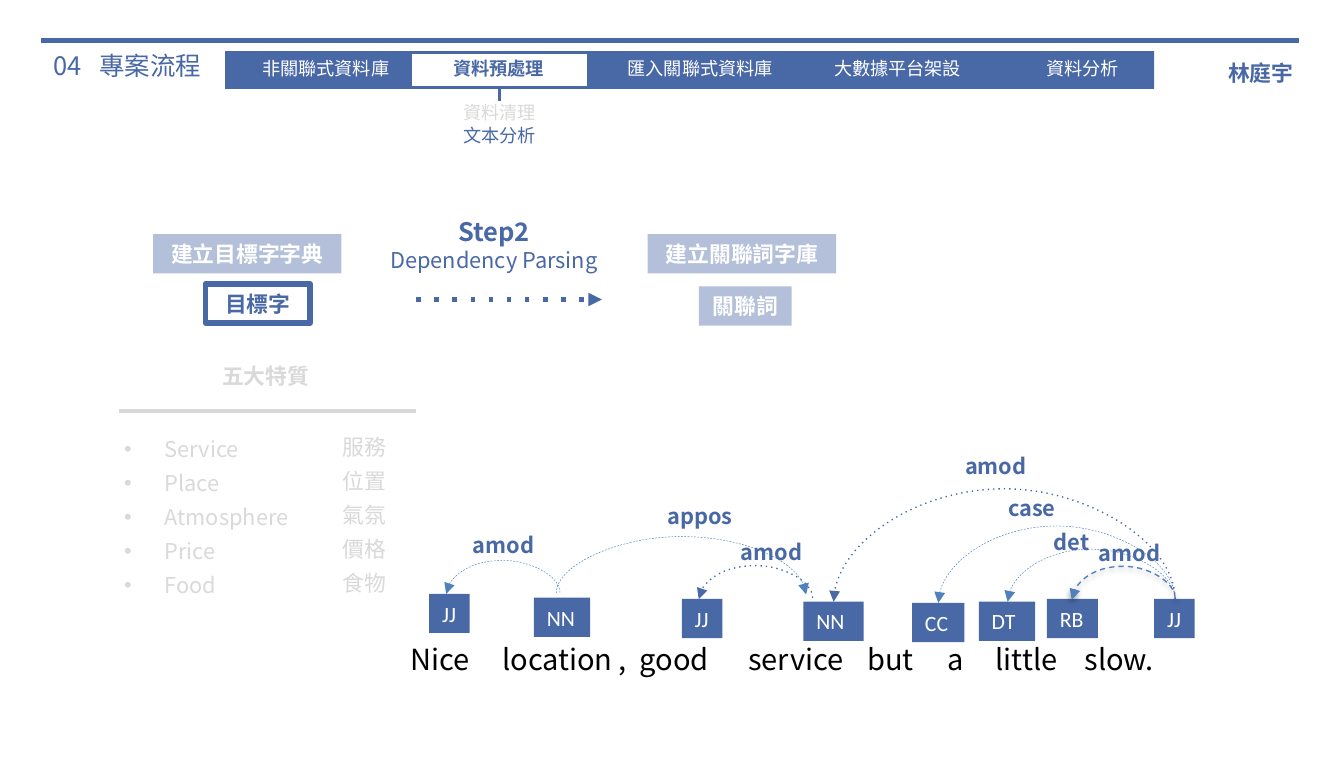
from lxml import etree
from pptx import Presentation
from pptx.dml.color import RGBColor
from pptx.enum.shapes import MSO_CONNECTOR as CONNECTOR, MSO_SHAPE as SHAPE
from pptx.enum.text import MSO_ANCHOR as ANCHOR, PP_ALIGN as ALIGN
from pptx.oxml.ns import qn
from pptx.util import Pt

PX = 9144  # 100 px to the inch
BLUE = RGBColor(0x49, 0x68, 0xA6)
ARC_BLUE = RGBColor(0x4F, 0x81, 0xBD)
GREY = RGBColor(0xD9, 0xD9, 0xD9)
WHITE = RGBColor(0xFF, 0xFF, 0xFF)
BLACK = RGBColor(0, 0, 0)
NOTO = "Noto Sans CJK SC"

presentation = Presentation()
presentation.slide_width = 1027 * PX
presentation.slide_height = 591 * PX
slide = presentation.slides.add_slide(presentation.slide_layouts[6])


def add_text(text, box, size=12, color=BLUE, bold=False, align=ALIGN.CENTER, font=NOTO,
             spacing=None, wrap=True, fill=None, opacity=100, border=None, tabs=(), bullet=None):
    """Write one paragraph per line of text, in a rectangle if fill or border is given."""
    bounds = [value * PX for value in box]
    if fill is None and border is None:
        shape = slide.shapes.add_textbox(*bounds)
    else:
        shape = slide.shapes.add_shape(SHAPE.RECTANGLE, *bounds)
        shape.shadow.inherit = False
        shape.fill.background()
        shape.line.fill.background()
    if fill is not None:
        shape.fill.solid()
        shape.fill.fore_color.rgb = fill
        if opacity < 100:
            rgb = shape.fill._xPr.find(".//" + qn("a:srgbClr"))
            etree.SubElement(rgb, qn("a:alpha"), val=str(opacity * 1000))
    if border is not None:
        shape.line.color.rgb = BLUE
        shape.line.width = Pt(border)
    frame = shape.text_frame
    frame.word_wrap = wrap
    frame.vertical_anchor = ANCHOR.MIDDLE
    for index, line in enumerate(text.split("\n")):
        paragraph = frame.paragraphs[0] if index == 0 else frame.add_paragraph()
        paragraph.alignment = align
        paragraph.line_spacing = spacing
        properties = paragraph._p.get_or_add_pPr()
        if bullet:
            properties.set("marL", str(31 * PX))
            properties.set("indent", str(-31 * PX))
            etree.SubElement(properties, qn("a:buFont"), typeface="Arial")
            etree.SubElement(properties, qn("a:buChar"), char=bullet)
        if tabs:
            tab_list = etree.SubElement(properties, qn("a:tabLst"))
            for position in tabs:
                etree.SubElement(tab_list, qn("a:tab"), pos=str(position * PX), algn="l")
        run = paragraph.add_run()
        run.text = line
        run.font.name = font
        run.font.size = Pt(size)
        run.font.bold = bold
        run.font.color.rgb = color
        etree.SubElement(run._r.get_or_add_rPr(), qn("a:ea"), typeface=font)
    return shape


def add_line(start, end, color, width, dash=None, arrow=False, rise=0, shadow=False):
    """Draw a straight line, or with a rise an arc that goes that far above its start."""
    (x1, y1), (x2, y2) = start, end
    kind = CONNECTOR.STRAIGHT
    if rise:
        # The arc is laid out sideways and turned by 270 degrees about its centre.
        kind = CONNECTOR.CURVE
        middle_x, middle_y = (x1 + x2) / 2, (y1 + y2) / 2
        drop, span = max(y2 - y1, 1), x1 - x2
        x1, x2 = middle_x + drop / 2, middle_x - drop / 2
        y1, y2 = middle_y + span / 2, middle_y - span / 2
    connector = slide.shapes.add_connector(kind, *[int(v * PX) for v in (x1, y1, x2, y2)])
    properties = connector._element.spPr
    if rise:
        properties.find(qn("a:xfrm")).set("rot", str(270 * 60000))
        adjustments = properties.find(qn("a:prstGeom")).find(qn("a:avLst"))
        etree.SubElement(adjustments, qn("a:gd"), name="adj1",
                         fmla=f"val {-rise * 100000 // drop}")
    connector.line.color.rgb = color
    connector.line.width = Pt(width)
    outline = connector.line._get_or_add_ln()
    if dash:
        etree.SubElement(outline, qn("a:prstDash"), val=dash)
    if arrow:
        etree.SubElement(outline, qn("a:tailEnd"), type="triangle")
    effects = etree.SubElement(properties, qn("a:effectLst"))
    if shadow:
        outer = etree.SubElement(effects, qn("a:outerShdw"), blurRad="40000", dist="20000",
                                 dir="5400000", rotWithShape="0")
        shade = etree.SubElement(outer, qn("a:srgbClr"), val="000000")
        etree.SubElement(shade, qn("a:alpha"), val="38000")


# Header and navigation bar
add_text("04\t專案流程", (31, 33, 148, 34), size=14, align=ALIGN.LEFT, tabs=[35])
add_line((31, 31), (993, 31), BLUE, 3)
add_text("", (172, 39, 710, 29), fill=BLUE)
for section, center in [("非關聯式資料庫", 249), ("匯入關聯式資料庫", 535),
                        ("大數據平台架設", 686), ("資料分析", 827)]:
    add_text(section, (center - 78, 39, 156, 27), size=10, color=WHITE)
add_text("", (314, 41, 135, 25), fill=WHITE, border=0.75)
add_text("資料預處理", (323, 39, 116, 27), size=10, bold=True)
add_line((382, 68), (382, 77), BLUE, 1.5)
add_text("資料清理", (329, 72, 105, 27), size=10, color=GREY)
add_text("文本分析", (329, 90, 105, 27), size=10)
add_text("林庭宇", (920, 41, 87, 30), bold=True)

# Sentence with its part-of-speech tags
add_text("Nice\tlocation\t,\tgood\tservice\tbut\ta\tlittle\tslow.", (304, 485, 632, 37), size=16,
         color=BLACK, align=ALIGN.LEFT, tabs=[70, 159, 175, 258, 349, 410, 447, 515])
for tag, left, top, width in [("JJ", 328, 454, 31), ("NN", 408, 457, 43), ("JJ", 521, 458, 31),
                              ("NN", 614, 460, 46), ("CC", 697, 461, 40), ("DT", 748, 460, 43),
                              ("RB", 800, 458, 39), ("JJ", 882, 458, 31)]:
    add_text(tag, (left, top, width, 30), color=WHITE, align=ALIGN.LEFT, font="Calibri",
             wrap=tag != "JJ", fill=BLUE)

# Dependency arcs and their labels
for start, end, rise, color, width, dash, shadow in [
    ((428, 453), (341, 454), 25, ARC_BLUE, 0.25, "dash", False),
    ((621, 457), (534, 458), 25, BLUE, 0.75, "dot", False),
    ((898, 458), (819, 458), 25, ARC_BLUE, 0.75, "dash", True),
    ((898, 458), (770, 460), 38, ARC_BLUE, 0.25, "dash", False),
    ((898, 458), (717, 461), 56, ARC_BLUE, 0.25, "dash", False),
    ((425, 454), (616, 454), 44, ARC_BLUE, 0.25, "dash", False),
    ((898, 458), (637, 460), 84, BLUE, 0.75, "dot", False),
]:
    add_line(start, end, color, width, dash, arrow=True, rise=rise, shadow=shadow)
for relation, left, top, width in [("amod", 350, 396, 70), ("appos", 499, 374, 72),
                                   ("amod", 726, 336, 70), ("det", 794, 394, 50),
                                   ("case", 758, 368, 61), ("amod", 542, 401, 95),
                                   ("amod", 828, 402, 70)]:
    add_text(relation, (left, top, width, 35), bold=True, spacing=1.3, wrap=False)

# Step from target words to related words
for title, left, top, width in [("建立目標字字典", 117, 179, 144), ("建立關聯詞字庫", 495, 179, 144),
                                ("關聯詞", 534, 219, 71)]:
    add_text(title, (left, top, width, 30), color=WHITE, bold=True, fill=BLUE, opacity=41)
add_text("目標字", (157, 217, 80, 30), bold=True, border=3)
step = add_text("Step2\nDependency Parsing", (244, 160, 267, 54))
step_font = step.text_frame.paragraphs[0].runs[0].font
step_font.size, step_font.bold = Pt(14), True
add_line((318, 229), (460, 229), BLUE, 2.5, "dot", arrow=True)

# Five qualities
add_text("五大特質", (159, 272, 88, 30), color=GREY, bold=True, wrap=False)
add_line((91, 314), (318, 314), GREY, 2)
add_text("Service\nPlace\nAtmosphere\nPrice\nFood", (85, 322, 167, 140), color=GREY,
         align=ALIGN.LEFT, spacing=1.3, bullet="•")
add_text("服務\n位置\n氣氛\n價格\n食物", (252, 321, 58, 140), color=GREY, align=ALIGN.LEFT, spacing=1.3)

presentation.save("out.pptx")
